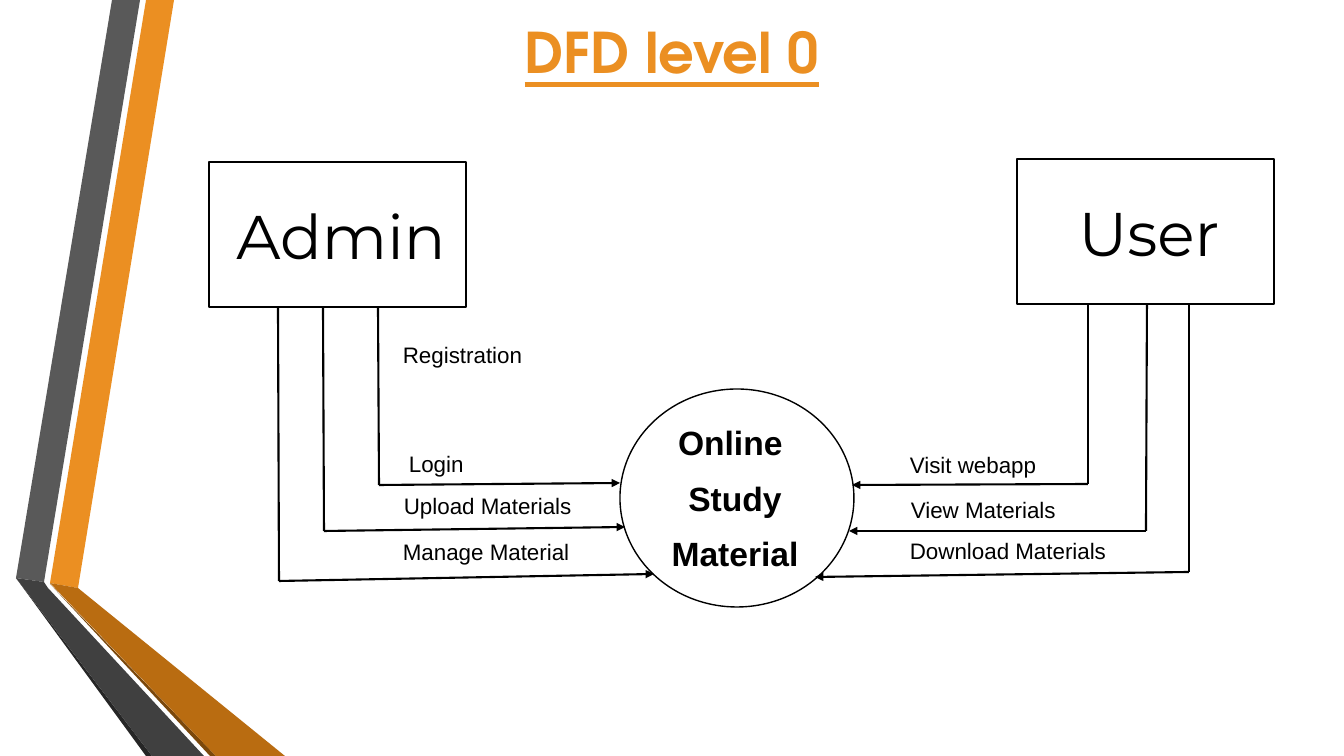
from lxml import etree
from pptx import Presentation
from pptx.dml.color import RGBColor
from pptx.enum.shapes import MSO_CONNECTOR, MSO_SHAPE
from pptx.enum.text import PP_ALIGN
from pptx.oxml.ns import qn
from pptx.util import Emu, Pt

PX = 914400 / 100.8
COLORS = {
    "orange": "EB8F22", "dark orange": "B96C11", "brown": "7B480B",
    "grey": "595959", "dark grey": "404040", "charcoal": "262626",
    "black": "000000",
}


def px(*lengths):
    """Turn pixel lengths into EMU."""
    return [Emu(round(length * PX)) for length in lengths]


def add_text(box, lines, size, font="Arial", color="black", align=PP_ALIGN.LEFT,
             bold=False, underline=False, after=0):
    """Add a text box with one paragraph per line."""
    frame = slide.shapes.add_textbox(*px(*box)).text_frame
    frame.word_wrap = True
    for i, line in enumerate(lines):
        paragraph = frame.paragraphs[0] if i == 0 else frame.add_paragraph()
        paragraph.alignment = align
        paragraph.space_after = Pt(after)
        run = paragraph.add_run()
        run.text = line
        run.font.name = font
        run.font.size = Pt(size)
        run.font.bold = bold
        run.font.underline = underline
        run.font.color.rgb = RGBColor.from_string(COLORS[color])


prs = Presentation()
prs.slide_width, prs.slide_height = px(1344, 756)
slide = prs.slides.add_slide(prs.slide_layouts[6])

# Folded ribbons on the left edge
ribbons = [
    ("orange", [(50, 583), (78, 588), (174, 0), (146, 0)]),
    ("grey", [(140, 0), (112, 0), (16, 578), (44, 582)]),
    ("charcoal", [(16, 578), (146, 756), (152, 756)]),
    ("brown", [(50, 584), (210, 756), (216, 756)]),
    ("dark orange", [(50, 583), (216, 756), (285, 756), (78, 588)]),
    ("dark grey", [(204, 756), (48, 588), (44, 582), (16, 578), (152, 756)]),
]
for color, points in ribbons:
    builder = slide.shapes.build_freeform(*points[0], scale=PX)
    builder.add_line_segments(points[1:], close=True)
    ribbon = builder.convert_to_shape()
    ribbon.shadow.inherit = False
    ribbon.fill.solid()
    ribbon.fill.fore_color.rgb = RGBColor.from_string(COLORS[color])
    ribbon.line.fill.background()

# Process circle and the two entities
outlines = [
    (MSO_SHAPE.FLOWCHART_CONNECTOR, (620, 389, 234, 218)),
    (MSO_SHAPE.RECTANGLE, (209, 162, 257, 145)),
    (MSO_SHAPE.RECTANGLE, (1017, 159, 257, 145)),
]
for kind, box in outlines:
    outline = slide.shapes.add_shape(kind, *px(*box))
    outline.shadow.inherit = False
    outline.fill.background()
    outline.line.color.rgb = RGBColor.from_string(COLORS["black"])
    outline.line.width = Pt(1)

# Each flow drops from an entity, turns, and ends at the circle
flows = [
    [(378, 307), (379, 485), (620, 483)],
    [(323, 307), (324, 531), (625, 527)],
    [(278, 307), (279, 581), (654, 574)],
    [(1088, 305), (1088, 484), (852, 485)],
    [(1147, 305), (1146, 531), (849, 531)],
    [(1189, 305), (1189, 572), (815, 577)],
]
for start, corner, end in flows:
    for begin, finish in ((start, corner), (corner, end)):
        line = slide.shapes.add_connector(
            MSO_CONNECTOR.STRAIGHT, *px(*begin, *finish))
        line.line.color.rgb = RGBColor.from_string(COLORS["black"])
        line.line.width = Pt(1.5)
        if finish == end:
            etree.SubElement(line.line._get_or_add_ln(), qn("a:tailEnd"),
                             type="triangle")
        etree.SubElement(line._element.spPr, qn("a:effectLst"))

add_text((652, 417, 166, 160), ["Online ", "Study", "Material"], 24,
         align=PP_ALIGN.CENTER, bold=True, after=11)

for name, left, top in (("Admin", 223, 193), ("User", 1031, 190)):
    add_text((left, top, 236, 80), [name], 44, font="Montserrat",
             align=PP_ALIGN.CENTER, after=10)

flow_labels = [
    ("Registration", 393, 336), ("Login", 399, 445),
    ("Upload Materials", 394, 487), ("Manage Material", 393, 533),
    ("Visit webapp", 900, 446), ("View Materials", 901, 491),
    ("Download Materials", 900, 532),
]
for label, left, top in flow_labels:
    add_text((left, top, 240, 34), [label], 16, after=10)

add_text((0, 13, 1344, 78), ["DFD level 0"], 40, font="TeX Gyre Adventor",
         color="orange", align=PP_ALIGN.CENTER, bold=True, underline=True)

prs.save("out.pptx")
